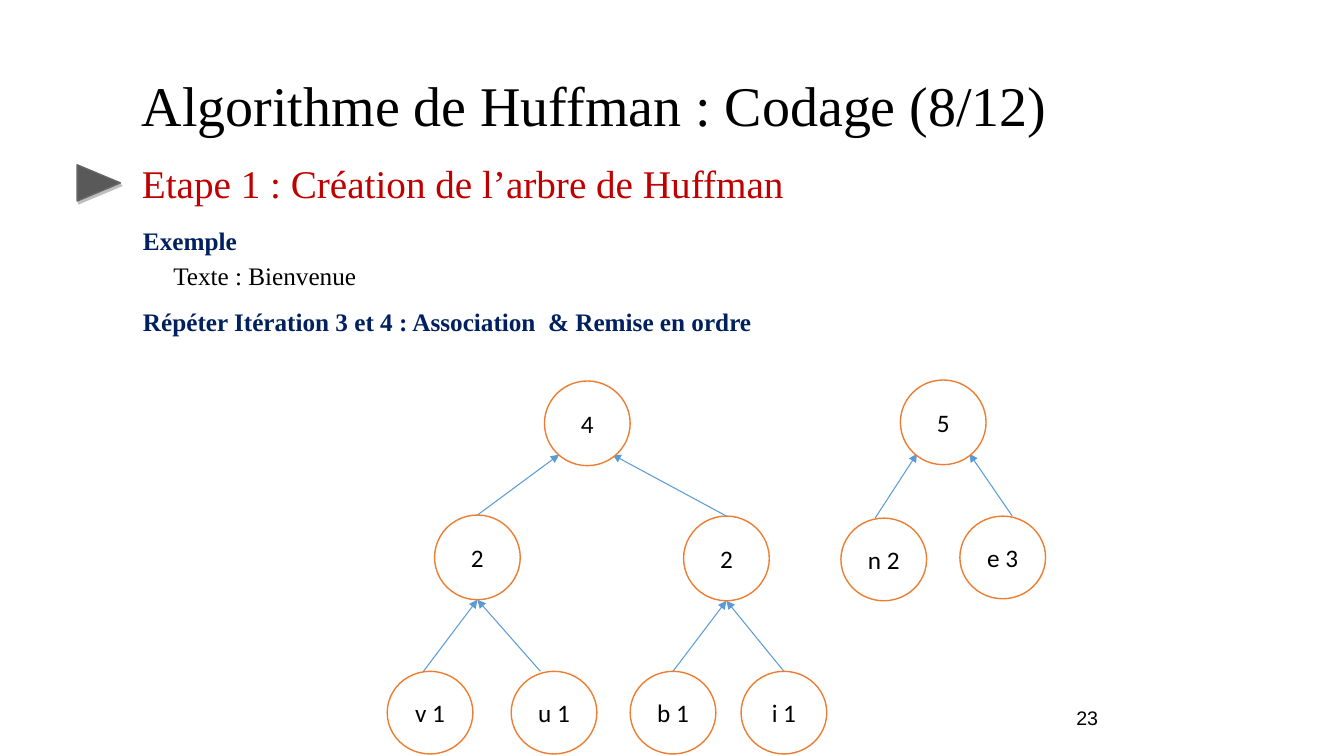
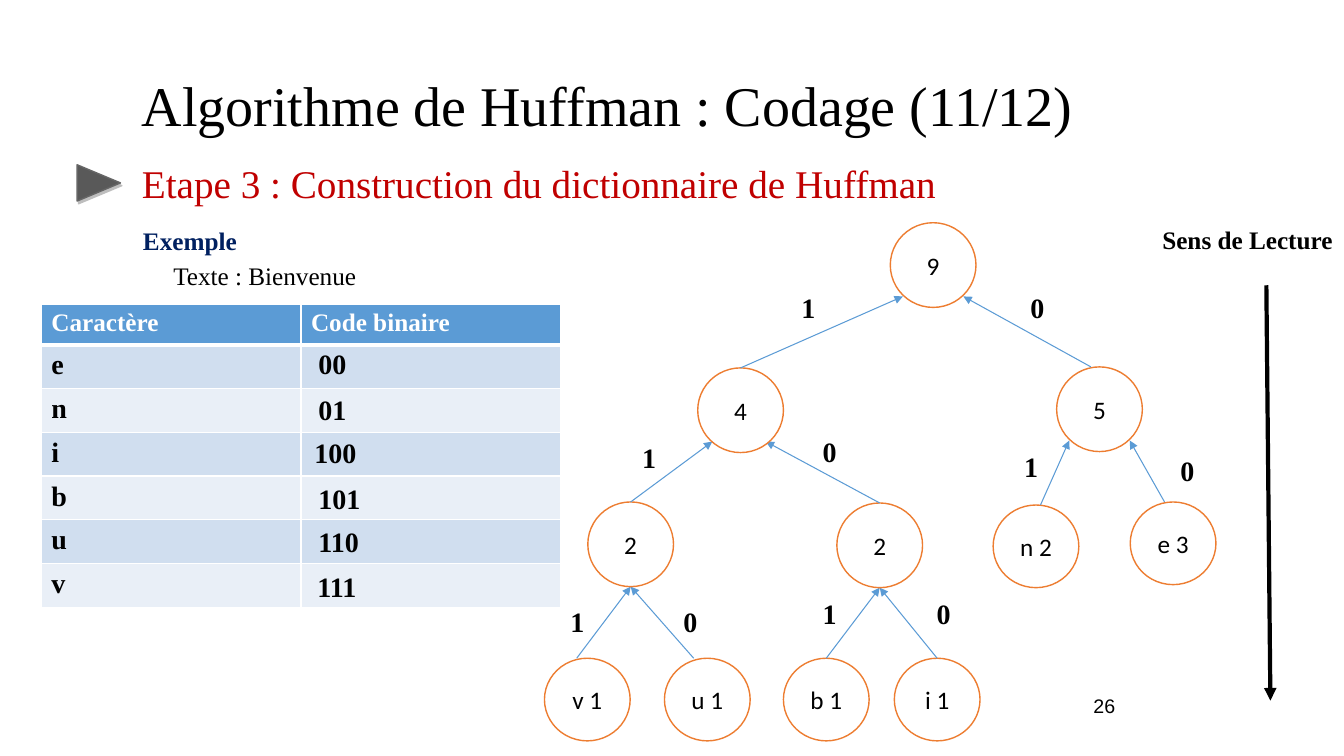
"""Build two slides on Huffman coding: merging the trees, then reading the codes."""
import pptx
import pptx.dml.color
import pptx.enum.shapes
import pptx.enum.text
import pptx.oxml
import pptx.oxml.ns
import pptx.util
from dataclasses import dataclass

Inches = pptx.util.Inches
Pt = pptx.util.Pt
Shape = pptx.enum.shapes.MSO_SHAPE
Align = pptx.enum.text.PP_ALIGN
Anchor = pptx.enum.text.MSO_ANCHOR


@dataclass(frozen=True)
class Theme:
    serif: str = "Times New Roman"
    sans: str = "Calibri"
    plain: str = "Arial"
    black: str = "000000"
    white: str = "FFFFFF"
    red: str = "C00000"
    navy: str = "002060"
    blue: str = "5B9BD5"
    orange: str = "ED7D31"
    gray: str = "595959"
    edge: str = "666666"
    bands: tuple = ("D0DEEF", "E9EFF7")
    title: int = 40
    step: int = 28
    code: int = 20
    body: int = 18
    foot: int = 14


T = Theme()
WIDE = 0.85
TALL = {"leaf": 0.82, "sum": 0.84}

# name: (label, kind, left, top, parent, end offset, start x or None for the top middle)
FOUR = {
    "v": ("v 1", "leaf", 3.84, 6.66, "uv", 0, 4.2),
    "u": ("u 1", "leaf", 5.07, 6.66, "uv", 0, 5.36),
    "b": ("b 1", "leaf", 6.25, 6.66, "bi", 0, None),
    "i": ("i 1", "leaf", 7.35, 6.66, "bi", 0, None),
    "uv": ("2", "sum", 4.31, 5.11, "four", -0.28, None),
    "bi": ("2", "sum", 6.78, 5.12, "four", 0.25, None),
}


def shift(nodes, dx, dy):
    return {key: (label, kind, left + dx, top + dy, up, side, start and start + dx)
            for key, (label, kind, left, top, up, side, start) in nodes.items()}


SLIDES = [
    {
        "title": "Algorithme de Huffman : Codage (8/12)",
        "step": "Etape 1 : Création de l’arbre de Huffman",
        "page": ("23", 8.66, 6.95),
        "nodes": FOUR | {
            "four": ("4", "sum", 5.4, 3.78, None, 0, None),
            "n": ("n 2", "leaf", 8.34, 5.14, "five", -0.26, 8.68),
            "e": ("e 3", "leaf", 9.52, 5.12, "five", 0.26, 10.04),
            "five": ("5", "sum", 8.93, 3.77, None, 0, None),
        },
    },
    {
        "title": "Algorithme de Huffman : Codage (11/12)",
        "step": "Etape 3 : Construction du dictionnaire de Huffman",
        "page": ("26", 8.83, 6.83),
        "nodes": shift(FOUR, 1.52, -0.13) | {
            "v": ("v 1", "leaf", 5.4, 6.53, "uv", 0, 5.72),
            "four": ("4", "sum", 6.92, 3.65, "nine", -0.3, None),
            "n": ("n 2", "leaf", 9.85, 5.01, "five", -0.3, 10.32),
            "e": ("e 3", "leaf", 11.21, 4.98, "five", 0.3, 11.55),
            "five": ("5", "sum", 10.48, 3.64, "nine", 0.3, 10.82),
            "nine": ("9", "sum", 8.83, 2.21, None, 0, None),
        },
    },
]
REPEAT = "Répéter Itération 3 et 4 : Association  & Remise en ordre"
BITS = {
    "1": [(7.85, 2.83), (10.06, 4.41), (6.27, 4.32), (8.06, 5.87), (5.56, 5.95)],
    "0": [(10.12, 2.83), (11.61, 4.45), (8.06, 4.26), (9.19, 5.87), (6.68, 5.95)],
}
HEADS = ("Caractère", "Code binaire")
CODES = [("e", "00", 3.06, 3.39), ("n", "01", 3.06, 3.84), ("i", "100", 3.02, 4.27),
         ("b", "101", 3.06, 4.73), ("u", "110", 3.06, 5.15), ("v", "111", 3.05, 5.6)]


def rgb(color):
    return pptx.dml.color.RGBColor.from_string(color)


def xml(tag, rest):
    return pptx.oxml.parse_xml(f'<a:{tag} {pptx.oxml.ns.nsdecls("a")} {rest}')


def write(frame, text, size=T.body, color=T.black, font=T.serif, bold=False,
          align=Align.LEFT, anchor=Anchor.TOP, space=None, wrap=True):
    frame.word_wrap = wrap
    frame.vertical_anchor = anchor
    para = frame.paragraphs[0]
    para.alignment = align
    if space:
        para.line_spacing = space
    run = para.add_run()
    run.text = text
    run.font.size = Pt(size)
    run.font.name = font
    run.font.bold = bold
    run.font.color.rgb = rgb(color)


def box(slide, at, text, **style):
    write(slide.shapes.add_textbox(*map(Inches, at)).text_frame, text, **style)


def form(slide, kind, at, fill, line):
    shape = slide.shapes.add_shape(kind, *map(Inches, at))
    shape.fill.solid()
    shape.fill.fore_color.rgb = rgb(fill)
    shape.line.color.rgb = rgb(line)
    shape.line.width = Pt(1)
    shape.shadow.inherit = False
    return shape


def arrow(slide, start, end, color=T.blue, width=0.75):
    line = slide.shapes.add_connector(pptx.enum.shapes.MSO_CONNECTOR.STRAIGHT,
                                      *map(Inches, (*start, *end)))
    line.line.color.rgb = rgb(color)
    line.line.width = Pt(width)
    line.line._get_or_add_ln().append(xml("tailEnd", 'type="triangle"/>'))
    line._element.spPr.append(xml("effectLst", "/>"))
    return line


def tree(slide, nodes):
    for label, kind, left, top, up, side, start in nodes.values():
        node = form(slide, Shape.OVAL, (left, top, WIDE, TALL[kind]), T.white, T.orange)
        write(node.text_frame, label, font=T.sans, align=Align.CENTER, anchor=Anchor.MIDDLE)
        if up:
            _, rank, x, y = nodes[up][:4]
            drop = 0.87 if side else 1
            end = (x + WIDE / 2 + side, y + TALL[rank] * drop)
            line = arrow(slide, (start or left + WIDE / 2, top), end)
            if start is None:
                line.begin_connect(node, 0)


def border(cell, sides):
    for side, width in sides.items():
        cell._tc.get_or_add_tcPr().append(xml(
            f"ln{side}", f'w="{Pt(width)}"><a:solidFill><a:srgbClr val="{T.white}"/>'
            f'</a:solidFill></a:ln{side}>'))


def codes(slide):
    head, row = 0.4, 0.43
    rows = [HEADS] + [(sign, "") for sign, *_ in CODES]
    grid = slide.shapes.add_table(
        len(rows), 2, Inches(0.41), Inches(3.02), Inches(5.15),
        Inches(head + row * len(CODES))).table
    for r, pair in enumerate(rows):
        grid.rows[r].height = Inches(row if r else head)
        for c, text in enumerate(pair):
            cell = grid.cell(r, c)
            border(cell, {"L": 1, "R": 1, "T": 3 if r == 1 else 1, "B": 1 if r else 3})
            cell.fill.solid()
            cell.fill.fore_color.rgb = rgb(T.bands[(r - 1) % 2] if r else T.blue)
            if text:
                write(cell.text_frame, text, bold=True, size=T.code if r else T.body,
                      color=T.black if r else T.white)
    for _, code, left, top in CODES:
        box(slide, (left, top, 0.98, 0.44), code, size=T.code, bold=True)


def base(deck, data):
    slide = deck.slides.add_slide(deck.slide_layouts[6])
    page, left, top = data["page"]
    box(slide, (left, top, 2.33, 0.52), page, size=T.foot, font=T.plain, align=Align.RIGHT)
    mark = form(slide, Shape.ISOSCELES_TRIANGLE, (0.8, 1.6, 0.36, 0.43), T.gray, T.edge)
    mark.rotation = 90
    mark._element.spPr.find(pptx.oxml.ns.qn("a:effectLst")).append(xml(
        "outerShdw", f'dist="{Pt(2.2)}" dir="3780000" rotWithShape="0">'
        '<a:srgbClr val="7F7F7F"><a:alpha val="50000"/></a:srgbClr></a:outerShdw>'))
    box(slide, (1.31, 0.45, 9.56, 1.25), data["title"], size=T.title,
        anchor=Anchor.MIDDLE, space=0.9)
    box(slide, (1.31, 1.53, 8.5, 0.62), data["step"], size=T.step, color=T.red,
        anchor=Anchor.MIDDLE, space=0.9)
    box(slide, (1.32, 2.19, 1.16, 0.4), "Exemple", color=T.navy, bold=True)
    box(slide, (1.62, 2.53, 8.69, 0.4), "Texte : Bienvenue")
    tree(slide, data["nodes"])
    return slide


def main():
    deck = pptx.Presentation()
    deck.slide_width, deck.slide_height = Inches(13.33), Inches(7.5)
    merge, read = [base(deck, data) for data in SLIDES]
    box(merge, (1.32, 2.99, 6.24, 0.4), REPEAT, color=T.navy, bold=True)
    codes(read)
    for bit, spots in BITS.items():
        for spot in spots:
            box(read, (*spot, 0.38, 0.44), bit, size=T.code, bold=True)
    arrow(read, (12.56, 2.83), (12.6, 6.95), color=T.black, width=3)
    box(read, (11.43, 2.18, 1.93, 0.4), "Sens de Lecture", bold=True, wrap=False)
    deck.save("out.pptx")


if __name__ == "__main__":
    main()
